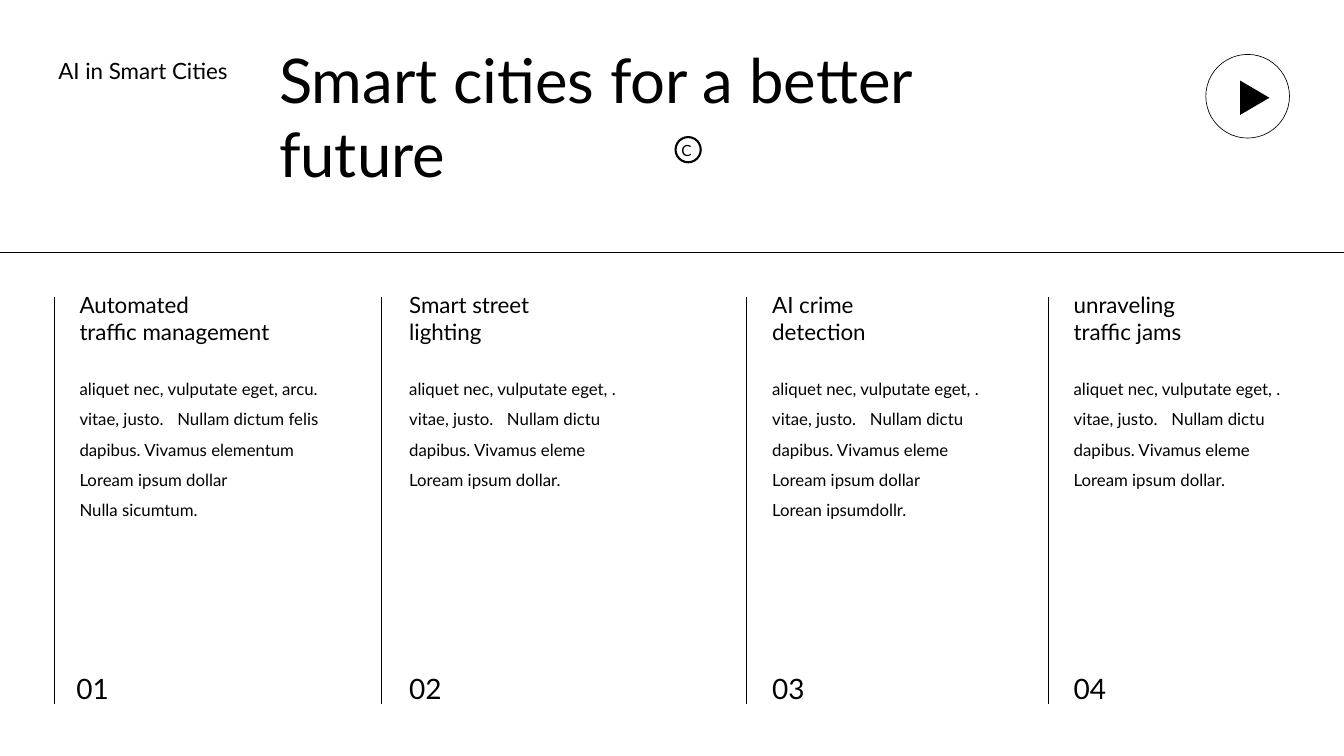
"""Build the smart cities slide with a header and four topic columns."""
from lxml import etree
from pptx import Presentation
from pptx.dml.color import RGBColor
from pptx.enum.shapes import MSO_CONNECTOR, MSO_SHAPE
from pptx.enum.text import MSO_AUTO_SIZE
from pptx.oxml.ns import qn
from pptx.util import Inches, Pt

BLACK = RGBColor(0, 0, 0)
WHITE = RGBColor(255, 255, 255)
FONT = "Lato"
WIDE, HIGH = 13.33, 7.5
HEAD = 2.5
TAB = 0.97
TOPICS = [
    (0.54, 0.15, 0.12, ["Automated", "traffic management"],
     ["aliquet nec, vulputate eget, arcu.", "vitae, justo.\tNullam dictum felis",
      "dapibus. Vivamus elementum", "Loream ipsum dollar", "Nulla sicumtum."]),
    (3.78, 0.18, 0.18, ["Smart street", "lighting"],
     ["aliquet nec, vulputate eget, .", "vitae, justo.\tNullam dictu",
      "dapibus. Vivamus eleme", "Loream ipsum dollar."]),
    (7.4, 0.16, 0.16, ["AI crime", "detection"],
     ["aliquet nec, vulputate eget, .", "vitae, justo.\tNullam dictu",
      "dapibus. Vivamus eleme", "Loream ipsum dollar", "Lorean ipsumdollr."]),
    (10.4, 0.15, 0.15, ["unraveling", "traffic jams"],
     ["aliquet nec, vulputate eget, .", "vitae, justo.\tNullam dictu",
      "dapibus. Vivamus eleme", "Loream ipsum dollar."]),
]


def add_tab(para):
    """Set one left tab stop on a paragraph."""
    tabs = etree.SubElement(para._p.get_or_add_pPr(), qn("a:tabLst"))
    etree.SubElement(tabs, qn("a:tab"), pos=str(Inches(TAB)), algn="l")


def add_text(shapes, left, top, width, height, lines, size, space=None):
    """Place black text, one paragraph for each line."""
    box = shapes.add_textbox(Inches(left), Inches(top), Inches(width), Inches(height))
    frame = box.text_frame
    frame.word_wrap = True
    frame.auto_size = MSO_AUTO_SIZE.SHAPE_TO_FIT_TEXT
    frame.text = "\n".join(lines)
    for para in frame.paragraphs:
        if "\t" in para.text:
            add_tab(para)
        if space:
            para.line_spacing = space
        for run in para.runs:
            run.font.name = FONT
            run.font.size = Pt(size)
            run.font.color.rgb = BLACK


def add_rule(shapes, left, top, right, end):
    """Draw a thin straight line."""
    rule = shapes.add_connector(MSO_CONNECTOR.STRAIGHT, Inches(left), Inches(top),
                                Inches(right), Inches(end))
    rule.line.color.rgb = BLACK
    rule.line.width = Pt(0.5)
    etree.SubElement(rule._element.spPr, qn("a:effectLst"))


def add_ring(shapes, left, top, size, weight):
    """Draw an unfilled circle."""
    ring = shapes.add_shape(MSO_SHAPE.OVAL, Inches(left), Inches(top),
                            Inches(size), Inches(size))
    ring.shadow.inherit = False
    ring.fill.background()
    ring.line.color.rgb = BLACK
    ring.line.width = Pt(weight)


def add_play(shapes, left, top, size):
    """Draw a ring with a solid play arrow inside."""
    add_ring(shapes, left, top, size, 0.47)
    side, mid = left + 0.34, top + 0.43
    pen = shapes.build_freeform(Inches(side), Inches(mid - 0.17), scale=1.0)
    pen.add_line_segments([(Inches(side + 0.29), Inches(mid)),
                           (Inches(side), Inches(mid + 0.17))], close=True)
    arrow = pen.convert_to_shape()
    arrow.shadow.inherit = False
    arrow.fill.solid()
    arrow.fill.fore_color.rgb = BLACK
    arrow.line.fill.background()


def add_badge(shapes, left, top, size):
    """Draw a small ring around the letter C."""
    add_ring(shapes, left, top, size, 1.5)
    add_text(shapes, left - 0.04, top - 0.01, size, 0.29, ["C"], 11)


def add_head(shapes, left, top, width, height):
    """Place the header with its label, title, marks and rule."""
    add_text(shapes, left + 0.48, top + 0.52, 2.23, 0.37, ["AI in Smart Cities"], 16)
    add_text(shapes, left + 2.67, top + 0.37, 6.67, 1.58,
             ["Smart cities for a better future"], 44)
    add_badge(shapes, left + 6.7, top + 1.36, 0.25)
    add_play(shapes, left + width - 1.37, top + 0.54, 0.83)
    add_rule(shapes, left, top + height, left + width, top + height)


def add_topic(shapes, left, top, width, height, inset, shift, number, title, body):
    """Place one column with its rule, heading, body and number."""
    add_rule(shapes, left, top, left, top + height)
    add_text(shapes, left + inset, top - 0.11, width, 0.64, title, 16)
    add_text(shapes, left + inset, top + 0.66, width, 0.38 + 0.3 * (len(body) - 1),
             body, 12, 1.5)
    add_text(shapes, left + shift, top + height - 0.37, 0.67, 0.44, [number], 20)


def main():
    """Build and save the slide."""
    deck = Presentation()
    deck.slide_width, deck.slide_height = Inches(WIDE), Inches(HIGH)
    slide = deck.slides.add_slide(deck.slide_layouts[6])
    slide.background.fill.solid()
    slide.background.fill.fore_color.rgb = WHITE
    add_head(slide.shapes, 0, 0, WIDE, HEAD)
    for count, (left, inset, shift, title, body) in enumerate(TOPICS, 1):
        add_topic(slide.shapes, left, HEAD + 0.45, 2.75, 4.03, inset, shift,
                  f"{count:02}", title, body)
    deck.save("out.pptx")


if __name__ == "__main__":
    main()
